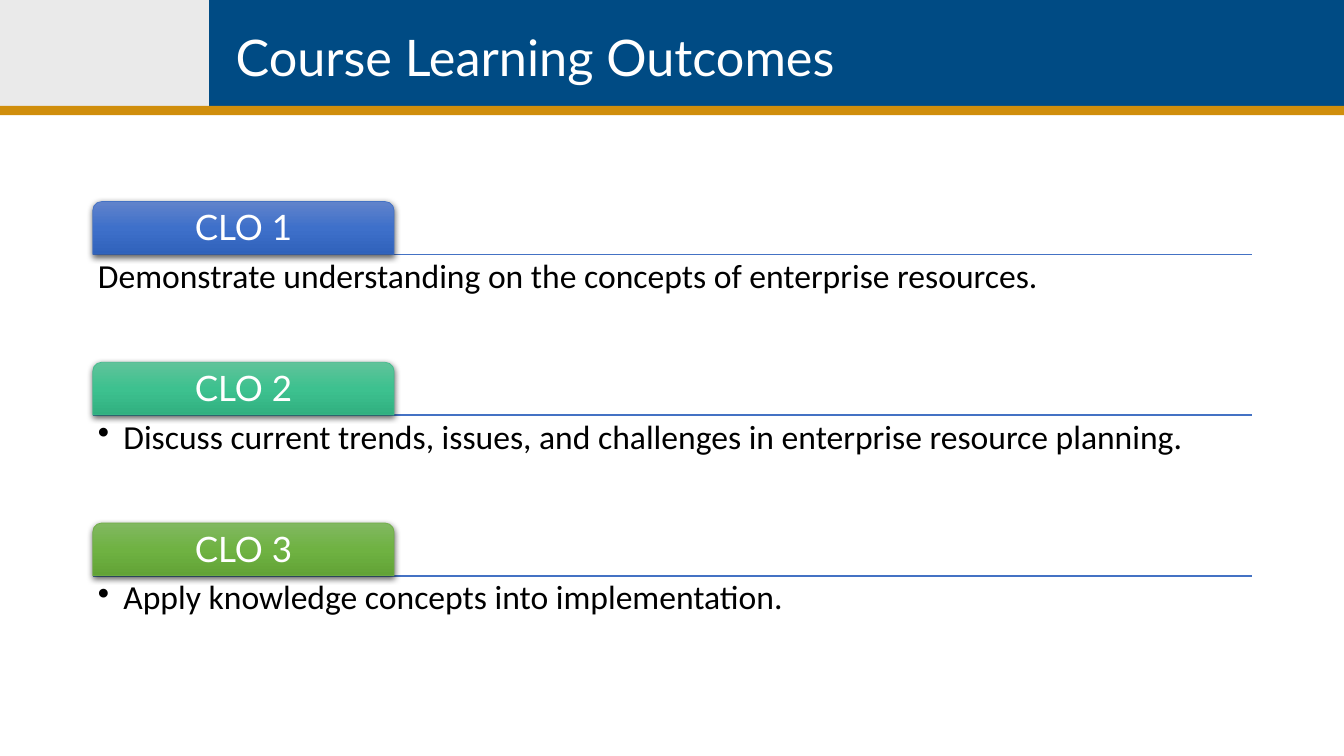
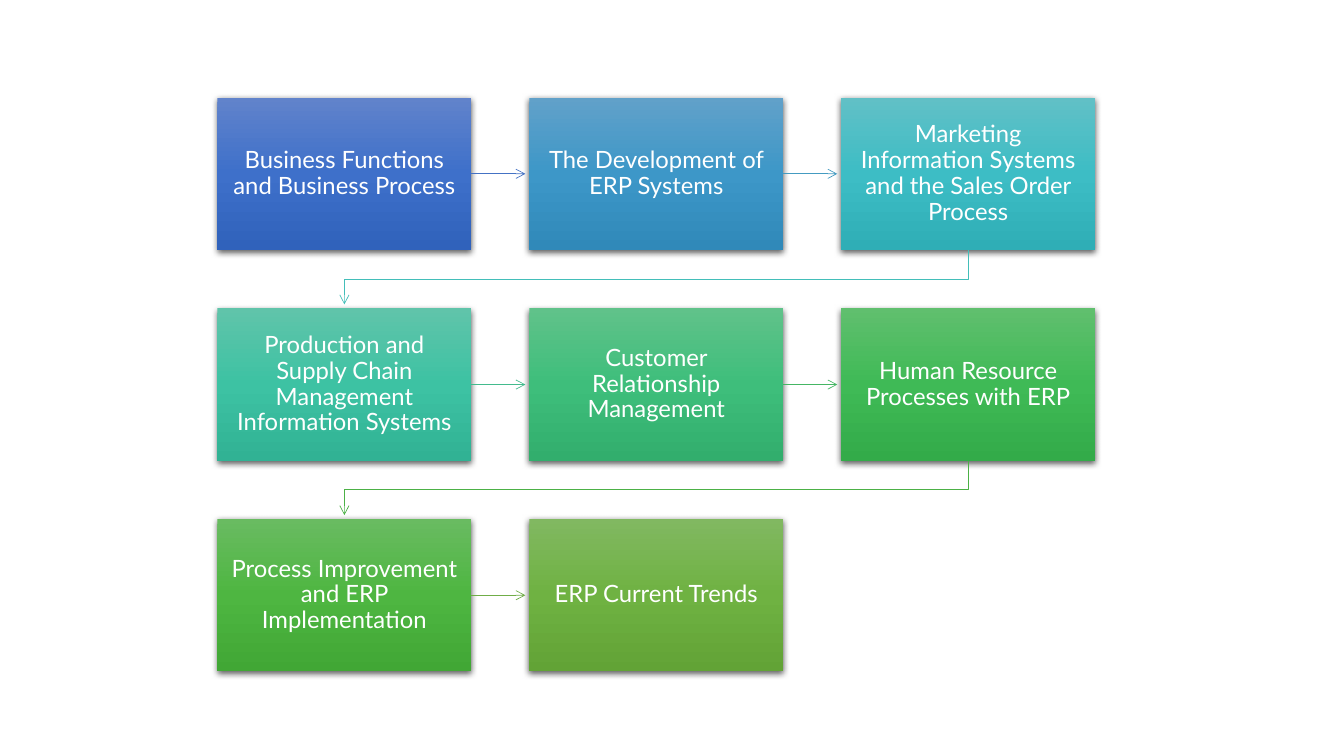
from copy import deepcopy

from lxml.etree import SubElement
from pptx import Presentation
from pptx.dml.color import RGBColor
from pptx.enum.shapes import MSO_CONNECTOR, MSO_SHAPE
from pptx.enum.text import MSO_ANCHOR, PP_ALIGN
from pptx.oxml.ns import qn
from pptx.util import Cm, Pt

# Shared look
SLIDE_WIDTH, SLIDE_HEIGHT = 33.87, 19.05
WHITE, BLACK = "FFFFFF", "000000"
GREY, NAVY, GOLD, BLUE = "EAEAEA", "004B84", "D08E0C", "4472C4"
HEAD_FONT, BODY_FONT = "Lato", "Calibri"
BLUE_BLEND = ("6183CB", "3E70CA", "3062BB")
GREEN_BLEND = ("81B861", "6FB242", "62A336")

# Outcomes: label, gradient, outline, description, bulleted
OUTCOMES = [
    ("CLO 1", BLUE_BLEND, BLUE,
     "Demonstrate understanding on the concepts of enterprise resources.", False),
    ("CLO 2", ("60C39A", "3DC18F", "31B080"), "43BB8D",
     "Discuss current trends, issues, and challenges in enterprise resource planning.", True),
    ("CLO 3", GREEN_BLEND, "70AD47",
     "Apply knowledge concepts into implementation.", True),
]

# Topics in reading order: text, gradient, colour of the arrow that leaves it
TOPICS = [
    ("Business Functions and Business Process", BLUE_BLEND, BLUE),
    ("The Development of ERP Systems", ("61A1C9", "3D97C8", "3089B9"), "449BC1"),
    ("Marketing Information Systems and the Sales Order Process",
     ("61C0C6", "3DBDC5", "2FAEB6"), "43BEB9"),
    ("Production and Supply Chain Management Information Systems",
     ("60C4AA", "3DC2A3", "31B294"), "43BB8D"),
    ("Customer Relationship Management", ("60C28A", "3EBE7B", "32AE6D"), "45B664"),
    ("Human Resource Processes with ERP", ("60BF6E", "3FBA56", "33AB49"), "4CB146"),
    ("Process Improvement and ERP Implementation",
     ("69BB61", "4EB641", "41A735"), "70AD47"),
    ("ERP Current Trends", GREEN_BLEND, None),
]
COLUMNS = 3
ARROW_GAP = Cm(0.1)


def color(value):
    return RGBColor.from_string(value)


def set_line(shape, value, width):
    shape.line.color.rgb = color(value)
    shape.line.width = Pt(width)


def write(shape, text, size, font, value, inset=(0.25, 0.13),
          align=PP_ALIGN.LEFT, anchor=MSO_ANCHOR.TOP):
    """Fill a shape with one paragraph and return the paragraph."""
    frame = shape.text_frame
    frame.word_wrap = True
    frame.vertical_anchor = anchor
    frame.margin_left = frame.margin_right = Cm(inset[0])
    frame.margin_top = frame.margin_bottom = Cm(inset[1])
    para = frame.paragraphs[0]
    para.text = text
    para.alignment = align
    para.line_spacing = 0.9
    para.font.size = Pt(size)
    para.font.name = font
    para.font.color.rgb = color(value)
    return para


def add_band(page, left, top, width, height, fill):
    band = page.shapes.add_shape(MSO_SHAPE.RECTANGLE, Cm(left), Cm(top), Cm(width), Cm(height))
    band.shadow.inherit = False
    band.fill.solid()
    band.fill.fore_color.rgb = color(fill)
    band.line.fill.background()


def add_title(page, text):
    """Header bands with the slide title."""
    add_band(page, 0, 0, 25.4, 2.77, GREY)
    add_band(page, 5.27, 0, SLIDE_WIDTH - 5.27, 2.77, NAVY)
    add_band(page, 0, 2.67, SLIDE_WIDTH, 0.23, GOLD)
    box = page.shapes.add_textbox(Cm(5.69), Cm(0.71), Cm(27.91), Cm(1.14))
    write(box, text, 36, HEAD_FONT, WHITE)


def add_glossy_box(page, kind, left, top, width, height, blend):
    """Shape with a vertical three-stop gradient and a soft shadow below."""
    box = page.shapes.add_shape(kind, Cm(left), Cm(top), Cm(width), Cm(height))
    box.line.fill.background()
    box.fill.gradient()
    box.fill.gradient_angle = 270
    stop_list = box._element.spPr.find(".//" + qn("a:gsLst"))
    stop_list.append(deepcopy(stop_list[-1]))
    for stop, value, position in zip(box.fill.gradient_stops, blend, (0, 0.5, 1)):
        stop.color.rgb = color(value)
        stop.position = position
    box.shadow.inherit = False
    effects = box._element.spPr.find(qn("a:effectLst"))
    shadow = SubElement(effects, qn("a:outerShdw"), blurRad=str(Pt(4.5)),
                        dist=str(Pt(1.5)), dir="5400000", algn="ctr", rotWithShape="0")
    shade = SubElement(shadow, qn("a:srgbClr"), val=BLACK)
    SubElement(shade, qn("a:alpha"), val="63000")
    return box


def add_straight(page, start, end, value, width):
    line = page.shapes.add_connector(MSO_CONNECTOR.STRAIGHT, *start, *end)
    set_line(line, value, width)
    SubElement(line._element.spPr, qn("a:effectLst"))
    return line


def add_arrowhead(line):
    SubElement(line._element.spPr.find(qn("a:ln")), qn("a:tailEnd"), type="arrow")


def add_outcome(page, top, label, blend, outline, text, bulleted):
    """Tab with a rule under it and a description below the rule."""
    left, width, tab_height = 2.34, 29.21, 1.33
    rule = top + tab_height
    add_straight(page, (Cm(left), Cm(rule)), (Cm(left + width), Cm(rule)), BLUE, 1)
    tab = add_glossy_box(page, MSO_SHAPE.ROUND_2_SAME_RECTANGLE,
                         left, top, 7.59, tab_height, blend)
    set_line(tab, outline, 0.5)
    write(tab, label, 25, HEAD_FONT, WHITE, (0.13, 0.13), PP_ALIGN.CENTER, MSO_ANCHOR.MIDDLE)

    box = page.shapes.add_textbox(Cm(left), Cm(rule), Cm(width), Cm(2.67))
    para = write(box, text, 24, BODY_FONT, BLACK, (0.13, 0.13))
    if bulleted:
        properties = para._p.get_or_add_pPr()
        properties.set("marL", str(Cm(0.64)))
        properties.set("indent", str(-Cm(0.64)))
        bullet = properties.makeelement(qn("a:buChar"), {"char": "•"})
        properties.find(qn("a:defRPr")).addprevious(bullet)


def add_topic(page, index, text, blend):
    row, column = divmod(index, COLUMNS)
    box = add_glossy_box(page, MSO_SHAPE.RECTANGLE, 5.48 + 7.86 * column,
                         2.46 + 5.31 * row, 6.4, 3.84, blend)
    write(box, text, 17, HEAD_FONT, WHITE, (0.3, 0.33), PP_ALIGN.CENTER, MSO_ANCHOR.MIDDLE)
    return box


def add_arrow_right(page, source, target, value):
    middle = source.top + source.height // 2
    arrow = add_straight(page, (source.left + source.width, middle),
                         (target.left - ARROW_GAP, middle), value, 0.5)
    arrow.begin_connect(source, 3)
    add_arrowhead(arrow)


def add_arrow_to_next_row(page, source, target, value):
    """Arrow that drops, runs back to the first column and drops again."""
    start_x = source.left + source.width // 2
    end_x = target.left + target.width // 2
    bottom = source.top + source.height
    turn = (bottom + target.top) // 2
    builder = page.shapes.build_freeform(start_x, bottom)
    builder.add_line_segments(
        [(start_x, turn), (end_x, turn), (end_x, target.top - ARROW_GAP)], close=False)
    arrow = builder.convert_to_shape()
    arrow.shadow.inherit = False
    arrow.fill.background()
    set_line(arrow, value, 0.5)
    add_arrowhead(arrow)


def build_outcomes(page):
    add_title(page, "Course Learning Outcomes")
    for index, outcome in enumerate(OUTCOMES):
        add_outcome(page, 5.08 + 4.05 * index, *outcome)


def build_topics(page):
    boxes = [add_topic(page, index, text, blend)
             for index, (text, blend, _) in enumerate(TOPICS)]
    for source, target, (_, _, value) in zip(boxes, boxes[1:], TOPICS):
        same_row = source.top == target.top
        add_arrow = add_arrow_right if same_row else add_arrow_to_next_row
        add_arrow(page, source, target, value)


def main():
    deck = Presentation()
    deck.slide_width, deck.slide_height = Cm(SLIDE_WIDTH), Cm(SLIDE_HEIGHT)
    for build in (build_outcomes, build_topics):
        build(deck.slides.add_slide(deck.slide_layouts[6]))
    deck.save("out.pptx")


if __name__ == "__main__":
    main()
